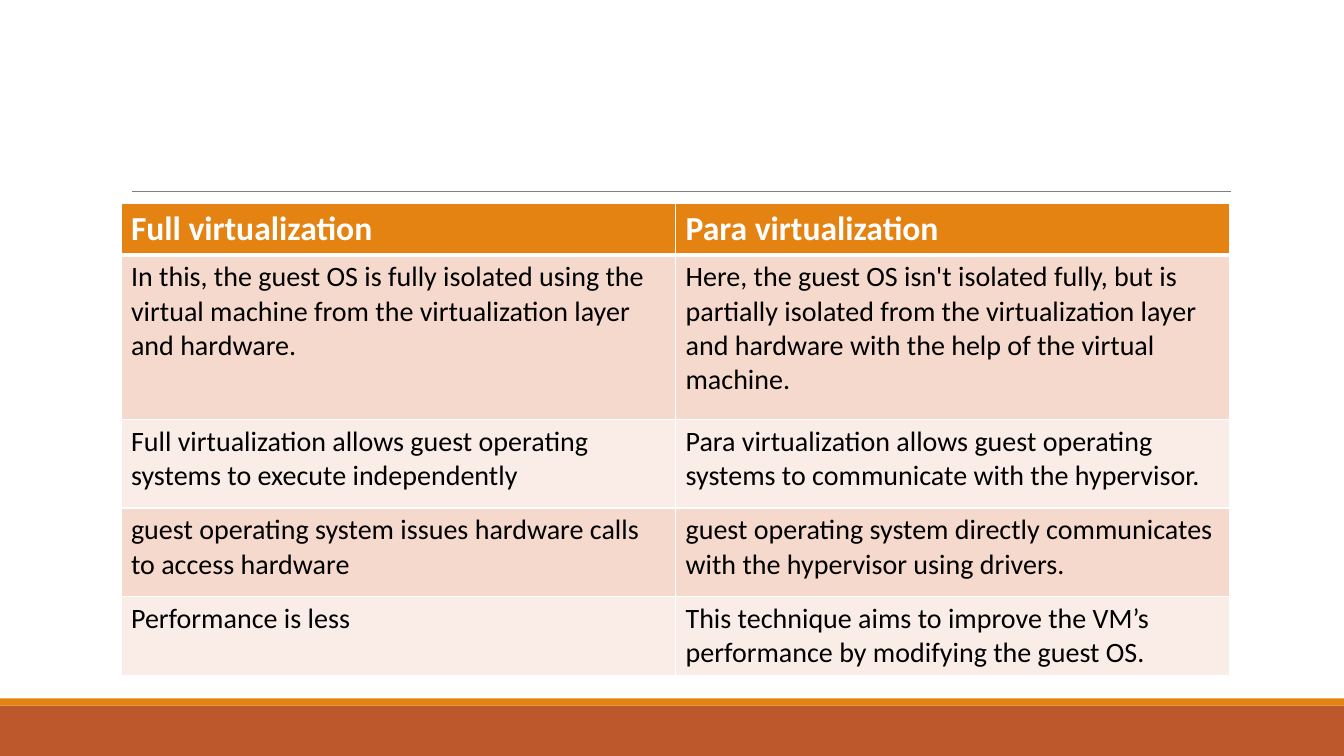
from dataclasses import dataclass
from lxml.etree import SubElement as Sub
from pptx import Presentation
from pptx.dml.color import RGBColor as RGB
from pptx.enum.shapes import MSO_CONNECTOR as Conn, MSO_SHAPE as Kind
from pptx.oxml.ns import qn
from pptx.util import Inches, Pt


@dataclass(frozen=True)
class Theme:
    font: str = "Calibri"
    head: int = 24
    body: int = 20
    white: str = "FFFFFF"
    black: str = "000000"
    gray: str = "808080"
    rust: str = "BD582C"
    gold: str = "E48312"
    bands: tuple = ("F5D9CC", "FAEDE7")
    thin: float = 1
    thick: float = 3


LOOK = Theme()
WIDE, HIGH = 13.33, 7.5
LEFT, TOP, COL = 1.2, 2.02, 5.5
ROWS = (0.51, 1.63, 0.88, 0.88, 0.77)
TEXT = (
    ("Full virtualization", "Para virtualization "),
    ("In this, the guest OS is fully isolated using the virtual machine "
     "from the virtualization layer and hardware.",
     "Here, the guest OS isn't isolated fully, but is partially isolated "
     "from the virtualization layer and hardware with the help of the "
     "virtual machine."),
    ("Full virtualization allows guest operating systems to execute "
     "independently",
     "Para virtualization allows guest operating systems to communicate "
     "with the hypervisor."),
    ("guest operating system issues hardware calls to access hardware",
     "guest operating system directly communicates with the hypervisor "
     "using drivers."),
    ("Performance is less",
     "This technique aims to improve the VM’s performance by modifying "
     "the guest OS."),
)


def paint(fill, color):
    fill.solid()
    fill.fore_color.rgb = RGB.from_string(color)


def add_bar(slide, top, high, color):
    bar = slide.shapes.add_shape(
        Kind.RECTANGLE, 0, Inches(top), Inches(WIDE), Inches(high))
    bar.shadow.inherit = False
    paint(bar.fill, color)
    bar.line.fill.background()


def add_rule(slide, left, right, top):
    rule = slide.shapes.add_connector(
        Conn.STRAIGHT, Inches(left), Inches(top), Inches(right), Inches(top))
    rule.line.color.rgb = RGB.from_string(LOOK.gray)
    rule.line.width = Pt(0.5)
    Sub(rule.element.spPr, qn("a:effectLst"))


def add_edge(cell, side, width):
    props = cell._tc.get_or_add_tcPr()
    edge = Sub(props, qn("a:ln" + side), w=str(Pt(width)))
    fill = Sub(edge, qn("a:solidFill"))
    Sub(fill, qn("a:srgbClr"), val=LOOK.white)


def fill_cell(cell, text, row):
    head = row == 0
    for side in "LRTB":
        heavy = (row, side) in ((0, "B"), (1, "T"))
        add_edge(cell, side, LOOK.thick if heavy else LOOK.thin)
    paint(cell.fill, LOOK.gold if head else LOOK.bands[(row - 1) % 2])
    cell.text_frame.text = text
    font = cell.text_frame.paragraphs[0].runs[0].font
    font.name = LOOK.font
    font.size = Pt(LOOK.head if head else LOOK.body)
    font.bold = head
    font.color.rgb = RGB.from_string(LOOK.white if head else LOOK.black)


def add_grid(slide):
    cols = len(TEXT[0])
    grid = slide.shapes.add_table(
        len(TEXT), cols, Inches(LEFT), Inches(TOP),
        Inches(COL * cols), Inches(sum(ROWS))).table
    for col in grid.columns:
        col.width = Inches(COL)
    for row, (high, line) in enumerate(zip(ROWS, TEXT)):
        grid.rows[row].height = Inches(high)
        for col, text in enumerate(line):
            fill_cell(grid.cell(row, col), text, row)


def main():
    deck = Presentation()
    deck.slide_width, deck.slide_height = Inches(WIDE), Inches(HIGH)
    slide = deck.slides.add_slide(deck.slide_layouts[6])
    paint(slide.background.fill, LOOK.white)
    add_bar(slide, 7, 0.5, LOOK.rust)
    add_bar(slide, 6.93, 0.07, LOOK.gold)
    add_rule(slide, 1.31, 12.21, 1.9)
    add_grid(slide)
    deck.save("out.pptx")


main()
